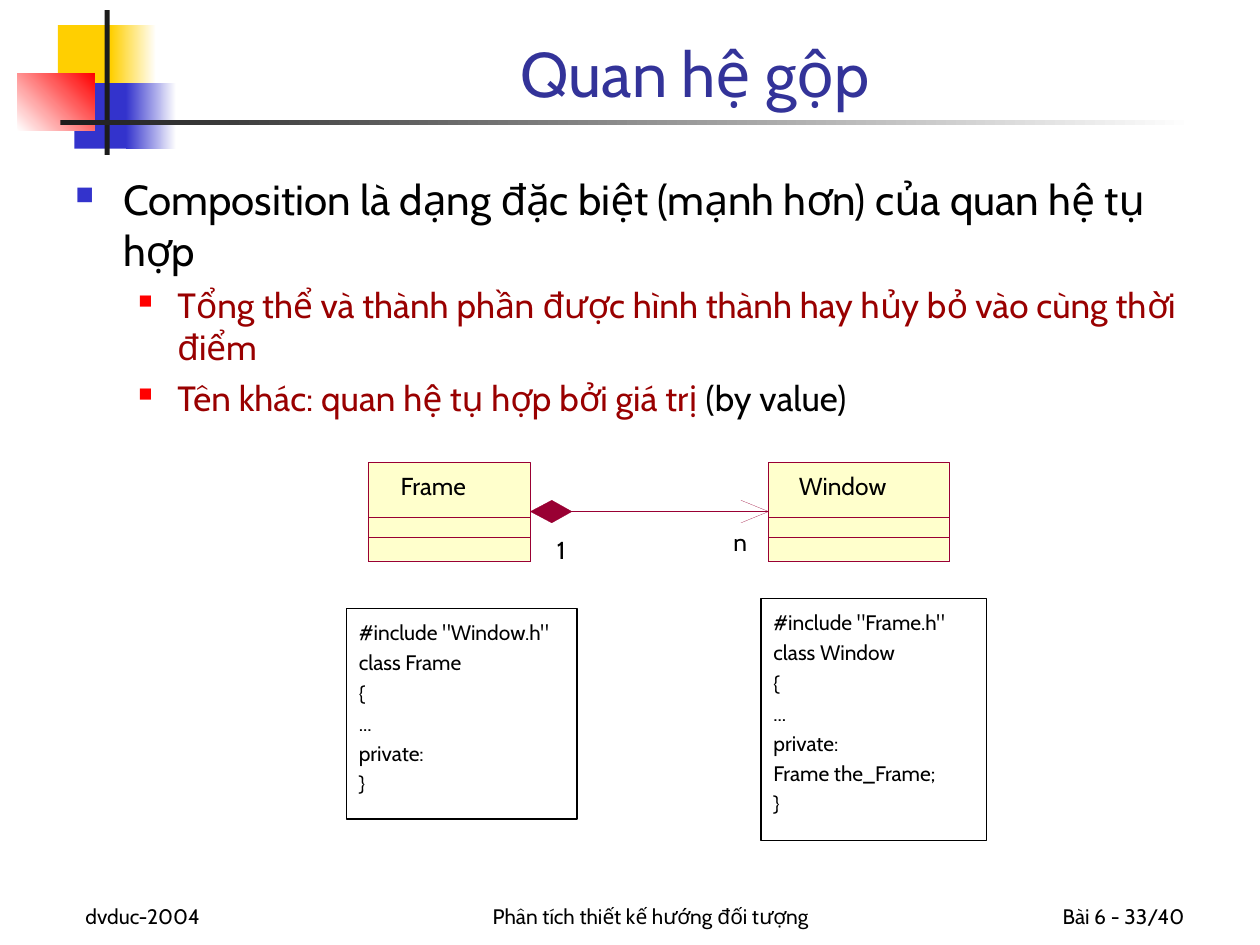
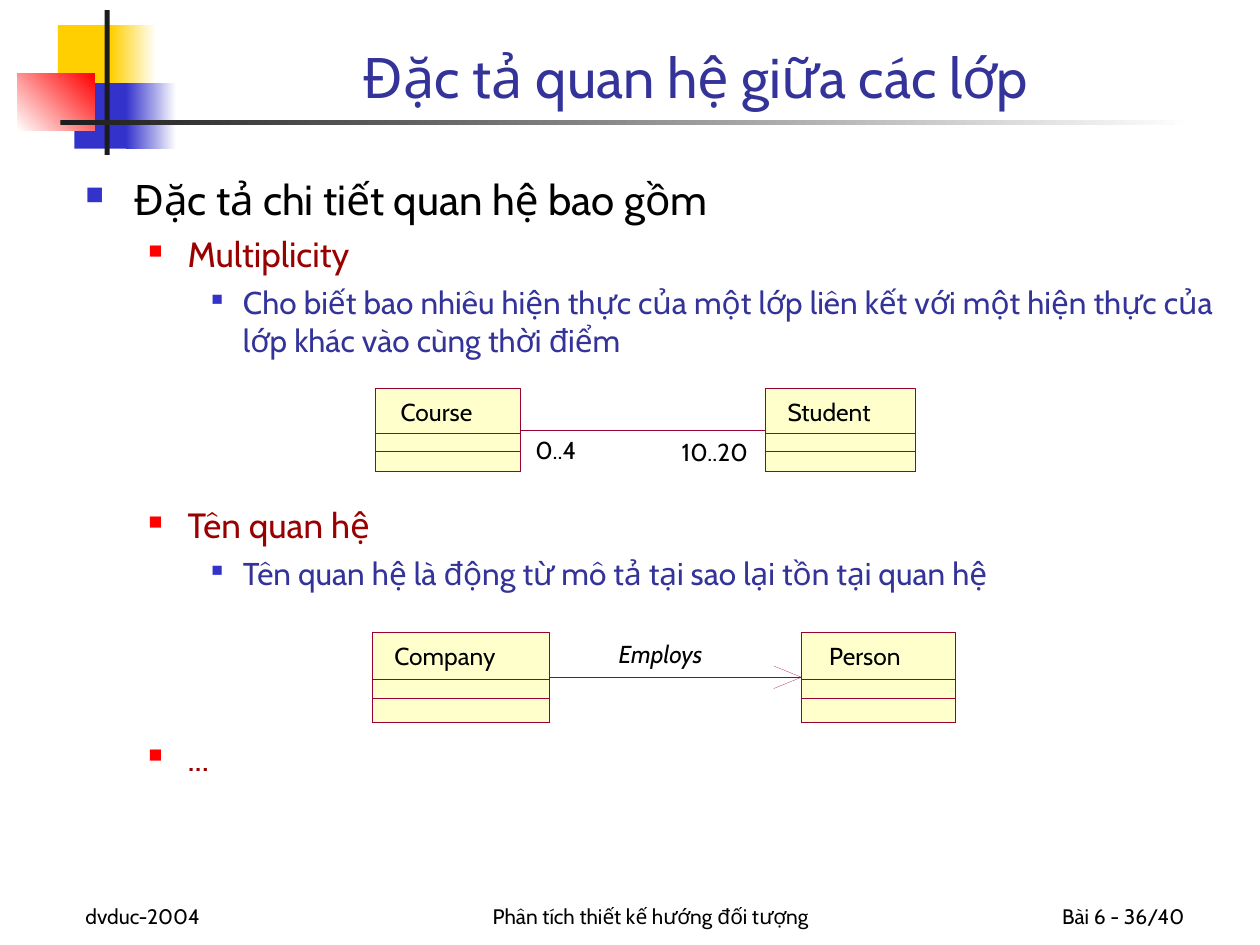
from dataclasses import dataclass

from lxml import etree
from pptx import Presentation, util as u
from pptx.dml.color import RGBColor
from pptx.enum import shapes, text
from pptx.oxml.ns import qn


@dataclass(frozen=True)
class Theme:
    font: str = "Cabin"
    black: str = "000000"
    white: str = "FFFFFF"
    title: str = "333399"
    yellow: str = "FFCF01"
    blue: str = "3333CC"
    red: str = "FF0000"
    bar: str = "1C1C1C"
    class_fill: str = "FFFFCC"
    class_line: str = "990033"
    hairline: float = 0.1
    small: int = 12
    label: int = 14
    # Per level: size, text colour, left margin, hang, space before, bullet colour, bullet percent
    levels: tuple = (
        (24, "000000", 0.38, 0.38, 6, "3333CC", 60),
        (20, "990000", 0.81, 0.31, 5, "FF0000", 55),
        (18, "333399", 1.25, 0.25, 4.5, "3333CC", 50),
    )


theme = Theme()
left, center, right = text.PP_ALIGN.LEFT, text.PP_ALIGN.CENTER, text.PP_ALIGN.RIGHT
top, bottom = text.MSO_ANCHOR.TOP, text.MSO_ANCHOR.BOTTOM


def add_box(slide, area, fill=None, fade_to=None, angle=0, line=None, width=theme.hairline):
    """Add a rectangle, plain or fading from fill to fade_to."""
    box = slide.shapes.add_shape(shapes.MSO_SHAPE.RECTANGLE, *map(u.Inches, area))
    box.shadow.inherit = False
    if fade_to:
        box.fill.gradient()
        box.fill.gradient_angle = angle
        for stop, color in zip(box.fill.gradient_stops, (fill, fade_to)):
            stop.color.rgb = RGBColor.from_string(color)
    elif fill:
        box.fill.solid()
        box.fill.fore_color.rgb = RGBColor.from_string(fill)
    else:
        box.fill.background()
    if line:
        box.line.color.rgb = RGBColor.from_string(line)
        box.line.width = u.Pt(width)
    else:
        box.line.fill.background()
    return box


def add_text(slide, area, lines, shape=None, size=theme.small, color=theme.black,
             align=left, anchor=top, spacing=None, italic=False, tight=False):
    """Write one paragraph per line, in shape or in a new text box.

    tight drops the insets and the wrapping.
    """
    shape = shape or slide.shapes.add_textbox(*map(u.Inches, area))
    frame = shape.text_frame
    frame.word_wrap = not tight
    frame.vertical_anchor = anchor
    if tight:
        frame.margin_left = frame.margin_right = frame.margin_top = frame.margin_bottom = 0
        frame.auto_size = text.MSO_AUTO_SIZE.SHAPE_TO_FIT_TEXT
    for index, line in enumerate(lines):
        paragraph = frame.paragraphs[0] if index == 0 else frame.add_paragraph()
        paragraph.alignment = align
        paragraph.line_spacing = spacing
        run = paragraph.add_run()
        run.text = line
        run.font.name = theme.font
        run.font.size = u.Pt(size)
        run.font.italic = italic
        run.font.color.rgb = RGBColor.from_string(color)
    return frame


decorations = [
    dict(area=(0.46, 0.2, 0.48, 0.52), fill=theme.yellow),
    dict(area=(0.88, 0.2, 0.36, 0.52), fill=theme.yellow, fade_to=theme.white),
    dict(area=(0.59, 0.66, 0.46, 0.52), fill=theme.blue),
    dict(area=(1, 0.66, 0.4, 0.52), fill=theme.blue, fade_to=theme.white),
    dict(area=(0.14, 0.58, 0.61, 0.46), fill=theme.white, fade_to=theme.red, angle=45),
    dict(area=(0.83, 0.08, 0.04, 1.15), fill=theme.bar),
    dict(area=(0.48, 0.95, 9, 0.04), fill=theme.bar, fade_to=theme.white),
]

# Body items: level, text, extra space before in points, black ending
# Classes: name, name position, left, width; dividers are heights above the class bottom
pages = [
    dict(
        number=33, title="Quan hệ gộp", title_size=36, body_left=0.5,
        body=[
            (0, "Composition là dạng đặc biệt (mạnh hơn) của quan hệ tụ hợp", 0, ""),
            (1, "Tổng thể và thành phần được hình thành hay hủy bỏ vào cùng thời điểm", 0, ""),
            (1, "Tên khác: quan hệ tụ hợp bởi giá trị ", 0, "(by value)"),
        ],
        diagrams=[dict(
            top=3.67, height=0.78, dividers=(0.35, 0.19), diamond=True, arrow=True,
            classes=[("Frame", 3.18, 2.92, 1.29), ("Window", 6.34, 6.1, 1.43)],
            labels=[("1", 4.42, 4.25, False), ("n", 5.82, 4.18, False)],
        )],
        code=[
            ((2.75, 4.83, 1.83, 1.67),
             ['#include "Window.h"', "class Frame", "{", "...", "private:", "}"]),
            ((6.04, 4.75, 1.79, 1.92),
             ['#include "Frame.h"', "class Window", "{", "...", "private:",
              "Frame the_Frame;", "}"]),
        ],
    ),
    dict(
        number=36, title="Đặc tả quan hệ giữa các lớp", title_size=32, body_left=0.58,
        body=[
            (0, "Đặc tả chi tiết quan hệ bao gồm", 0, ""),
            (1, "Multiplicity", 0, ""),
            (2, "Cho biết bao nhiêu hiện thực của một lớp liên kết với một hiện thực "
                "của lớp khác vào cùng thời điểm", 0, ""),
            (1, "Tên quan hệ", 78, ""),
            (2, "Tên quan hệ là động từ mô tả tại sao lại tồn tại quan hệ", 0, ""),
            (1, "...", 78, ""),
        ],
        diagrams=[
            dict(
                top=3.08, height=0.66, dividers=(0.3, 0.16), diamond=False, arrow=False,
                classes=[("Course", 3.18, 2.98, 1.15), ("Student", 6.25, 6.07, 1.19)],
                labels=[("0..4", 4.25, 3.45, False), ("10..20", 5.41, 3.47, False)],
            ),
            dict(
                top=5.02, height=0.71, dividers=(0.34, 0.19), diamond=False, arrow=True,
                classes=[("Company", 3.13, 2.95, 1.41), ("Person", 6.58, 6.36, 1.22)],
                labels=[("Employs", 4.91, 5.07, True)],
            ),
        ],
        code=[],
    ),
]

presentation = Presentation()
presentation.slide_width, presentation.slide_height = u.Inches(10), u.Inches(7.5)

for page in pages:
    slide = presentation.slides.add_slide(presentation.slide_layouts[6])
    for decoration in decorations:
        add_box(slide, **decoration)

    footers = [
        (0.58, 2.08, "dvduc-2004", left),
        (3.25, 3.83, "Phân tích thiết kế hướng đối tượng", center),
        (7.42, 2.08, f"Bài 6 - {page['number']}/40", right),
    ]
    for x, width, footer, align in footers:
        add_text(slide, (x, 6.92, width, 0.5), [footer], align=align, anchor=bottom)
    add_text(slide, (1.26, 0.08, 8.52, 0.84), [page["title"]], size=page["title_size"],
             color=theme.title, align=center, anchor=bottom)

    body_left = page["body_left"]
    body = add_text(slide, (body_left, 1.33, 9.79 - body_left, 5.5),
                    [item[1] for item in page["body"]])
    for paragraph, (level, _, gap, ending) in zip(body.paragraphs, page["body"]):
        size, color, margin, hang, before, bullet_color, percent = theme.levels[level]
        paragraph.level = level
        paragraph.space_before = u.Pt(before + gap)
        paragraph.runs[0].font.color.rgb = RGBColor.from_string(color)
        if ending:
            run = paragraph.add_run()
            run.text = ending
            run.font.name = theme.font
            run.font.color.rgb = RGBColor.from_string(theme.black)
        for run in paragraph.runs:
            run.font.size = u.Pt(size)
        properties = paragraph._p.get_or_add_pPr()
        properties.set("marL", str(u.Inches(margin)))
        properties.set("indent", str(-u.Inches(hang)))
        bullet = etree.SubElement(properties, qn("a:buClr"))
        etree.SubElement(bullet, qn("a:srgbClr"), val=bullet_color)
        etree.SubElement(properties, qn("a:buSzPct"), val=str(percent * 1000))
        etree.SubElement(properties, qn("a:buChar"), char="■")

    for diagram in page["diagrams"]:
        class_top, height = diagram["top"], diagram["height"]
        middle = class_top + height / 2
        class_boxes = []
        for name, name_left, x, width in diagram["classes"]:
            class_boxes.append(add_box(slide, (x, class_top, width, height),
                                       fill=theme.class_fill, line=theme.class_line))
            add_text(slide, (name_left, class_top + 0.07, 0.13 * len(name), 0.23), [name],
                     size=theme.label, tight=True)
            for part in diagram["dividers"]:
                add_box(slide, (x, class_top + height - part, width, part),
                        line=theme.class_line)

        source, target = class_boxes
        association = slide.shapes.add_connector(shapes.MSO_CONNECTOR.STRAIGHT, 0, 0, 0, 0)
        association.begin_connect(source, 3)
        association.end_connect(target, 1)
        association.line.color.rgb = RGBColor.from_string(theme.class_line)
        association.line.width = u.Pt(theme.hairline)
        etree.SubElement(association._element.spPr, qn("a:effectLst"))

        start = (source.left + source.width) / u.Inches(1)
        tip = target.left / u.Inches(1)
        ends = []
        if diagram["diamond"]:
            ends.append(([(start, middle), (start + 0.17, middle + 0.09),
                          (start + 0.33, middle), (start + 0.17, middle - 0.09)], True))
        if diagram["arrow"]:
            ends.append(([(tip - 0.22, middle + 0.09), (tip, middle),
                          (tip - 0.22, middle - 0.09)], False))
        for outline, closed in ends:
            first, *others = [(u.Inches(x), u.Inches(y)) for x, y in outline]
            builder = slide.shapes.build_freeform(*first)
            builder.add_line_segments(others, close=closed)
            line_end = builder.convert_to_shape()
            line_end.shadow.inherit = False
            line_end.line.color.rgb = RGBColor.from_string(theme.class_line)
            line_end.line.width = u.Pt(theme.hairline)
            if closed:
                line_end.fill.solid()
                line_end.fill.fore_color.rgb = RGBColor.from_string(theme.class_line)
            else:
                line_end.fill.background()

        for label, x, y, italic in diagram["labels"]:
            add_text(slide, (x, y, 0.11 * len(label), 0.23), [label], size=theme.label,
                     italic=italic, tight=True)

    for area, lines in page["code"]:
        code_box = add_box(slide, area, fill=theme.white, line=theme.black, width=0.75)
        add_text(slide, area, lines, shape=code_box, spacing=1.2)

presentation.save("out.pptx")
